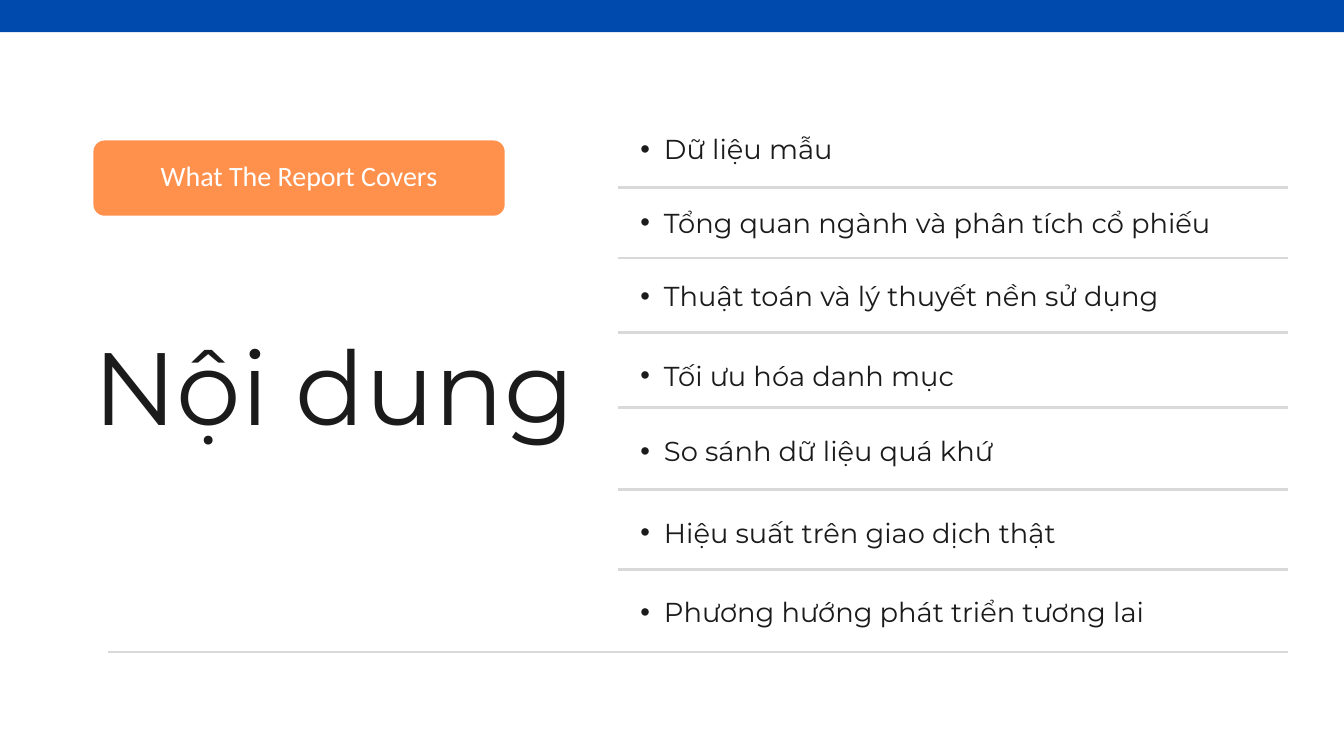
"""Build the contents slide of a stock portfolio report."""
from lxml.etree import SubElement
from pptx import Presentation
from pptx.dml.color import RGBColor
from pptx.enum.shapes import MSO_CONNECTOR, MSO_SHAPE
from pptx.enum.text import MSO_AUTO_SIZE, PP_ALIGN
from pptx.oxml.ns import qn
from pptx.util import Inches, Pt

COLORS = {"bar": "004AAD", "badge": "FF914D", "rule": "D9D9D9", "ink": "1B1B1B", "white": "FFFFFF"}
TITLE = "Nội dung"
BADGE = "What The Report Covers"
TOPICS = [
    ("Dữ liệu mẫu", 1.89, 6.92),
    ("Tổng quan ngành và phân tích cổ phiếu", 2.98, 9.63),
    ("Thuật toán và lý thuyết nền sử dụng", 4.08, 8.96),
    ("Tối ưu hóa danh mục", 5.26, 6.92),
    ("So sánh dữ liệu quá khứ", 6.38, 6.92),
    ("Hiệu suất trên giao dịch thật", 7.6, 7.64),
    ("Phương hướng phát triển tương lai", 8.78, 8.96),
]
DIVIDERS = [2.79, 3.84, 4.95, 6.07, 7.28, 8.48]
LIST_LEFT, LIST_RIGHT = 9.19, 19.16


def color(name):
    return RGBColor.from_string(COLORS[name])


def add_block(page, kind, left, top, width, height, fill):
    block = page.shapes.add_shape(kind, Inches(left), Inches(top), Inches(width), Inches(height))
    block.shadow.inherit = False
    block.fill.solid()
    block.fill.fore_color.rgb = color(fill)
    block.line.fill.background()
    return block


def add_rule(page, left, top, weight):
    rule = page.shapes.add_connector(
        MSO_CONNECTOR.STRAIGHT, Inches(left), Inches(top), Inches(LIST_RIGHT), Inches(top))
    rule.line.color.rgb = color("rule")
    rule.line.width = Pt(weight)
    SubElement(rule._element.spPr, qn("a:effectLst"))


def add_bullet(paragraph):
    paragraph.level = 1
    properties = paragraph._p.get_or_add_pPr()
    properties.set("marL", str(Inches(0.69)))
    properties.set("indent", str(Inches(-0.35)))
    SubElement(properties, qn("a:buFont")).set("typeface", "Arial")
    SubElement(properties, qn("a:buChar")).set("char", "•")


def add_text(page, text, left, top, width, height, size, spacing,
             font="Montserrat", ink="ink", align=PP_ALIGN.LEFT, bullet=False):
    box = page.shapes.add_textbox(Inches(left), Inches(top), Inches(width), Inches(height))
    frame = box.text_frame
    frame.word_wrap = True
    frame.auto_size = MSO_AUTO_SIZE.SHAPE_TO_FIT_TEXT
    frame.margin_left = frame.margin_right = frame.margin_top = frame.margin_bottom = 0
    paragraph = frame.paragraphs[0]
    if bullet:
        add_bullet(paragraph)
    paragraph.alignment = align
    paragraph.line_spacing = Pt(spacing)
    span = paragraph.add_run()
    span.text = text
    span.font.size = Pt(size)
    span.font.name = font
    span.font.color.rgb = color(ink)


def main():
    deck = Presentation()
    deck.slide_width, deck.slide_height = Inches(20), Inches(11.25)
    page = deck.slides.add_slide(deck.slide_layouts[6])

    badge = add_block(page, MSO_SHAPE.ROUNDED_RECTANGLE, 1.39, 2.09, 6.12, 1.12, "badge")
    badge.adjustments[0] = 0.15
    add_text(page, TITLE, 1.39, 4.81, 7.94, 1.84, 110.1, 132.1)
    add_text(page, BADGE, 1.69, 2.32, 5.52, 0.56, 30, 39, "Calibri", "white", PP_ALIGN.CENTER)
    add_block(page, MSO_SHAPE.RECTANGLE, 0, 0, 20, 0.48, "bar")

    add_rule(page, 1.61, 9.7, 2.25)
    for top in DIVIDERS:
        add_rule(page, LIST_LEFT, top, 3)
    for topic, top, width in TOPICS:
        add_text(page, topic, LIST_LEFT, top, width, 0.53, 29.3, 41, bullet=True)

    deck.save("out.pptx")


if __name__ == "__main__":
    main()
